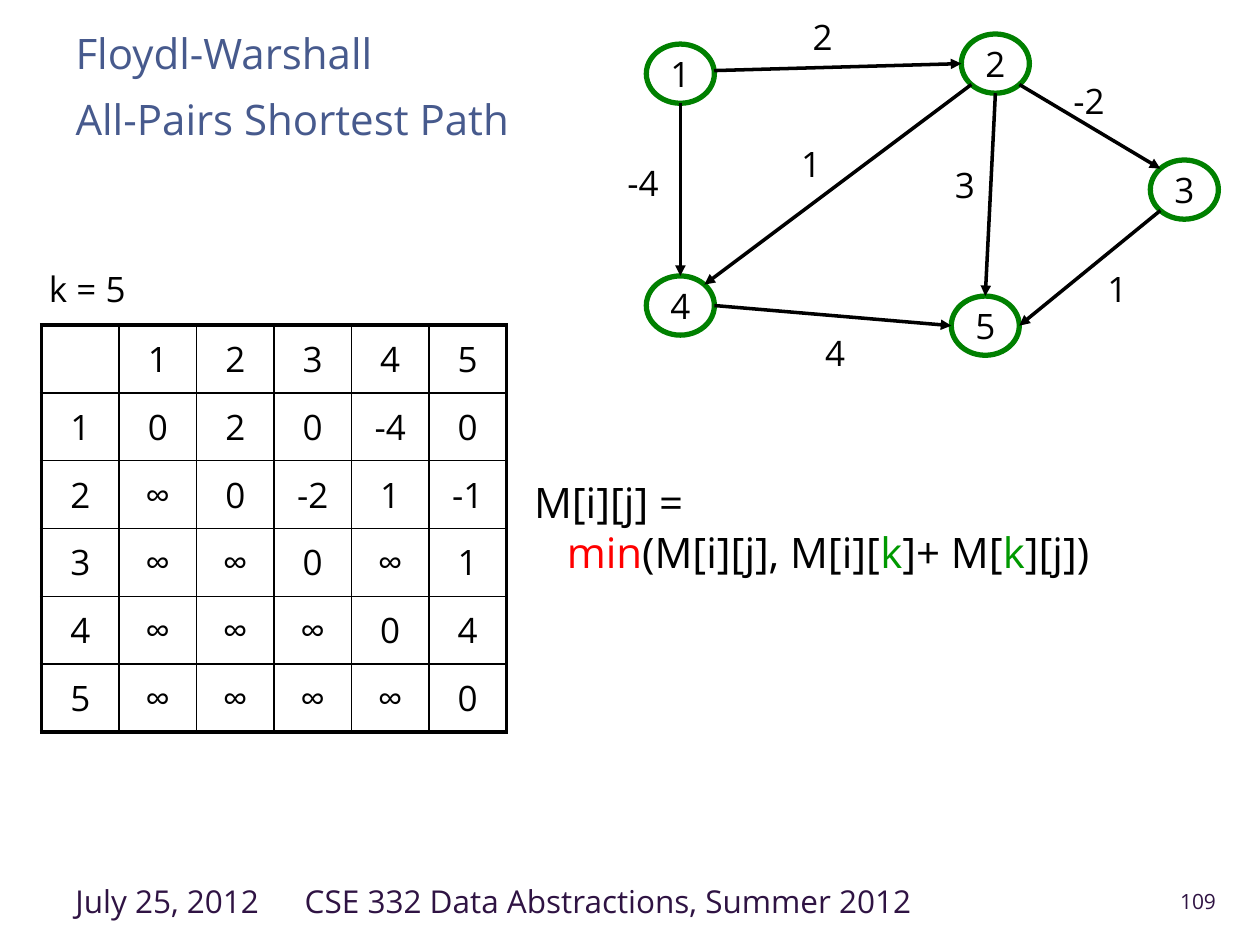
"""Build a slide on the Floyd-Warshall all-pairs shortest path algorithm."""
from math import cos, radians, sin

from lxml import etree
from pptx import Presentation
from pptx.dml.color import RGBColor
from pptx.enum.shapes import MSO_CONNECTOR, MSO_SHAPE
from pptx.enum.text import MSO_ANCHOR, MSO_AUTO_SIZE, PP_ALIGN
from pptx.oxml.ns import qn
from pptx.util import Inches, Pt

BLACK = RGBColor(0x00, 0x00, 0x00)
RED = RGBColor(0xFF, 0x00, 0x00)
KEY_GREEN = RGBColor(0x00, 0x99, 0x00)
NODE_GREEN = RGBColor(0x00, 0x80, 0x00)
TITLE_BLUE = RGBColor(0x47, 0x5A, 0x8D)
FOOTER_PURPLE = RGBColor(0x2F, 0x13, 0x43)

STRAIGHT = MSO_CONNECTOR.STRAIGHT
OVAL = MSO_SHAPE.OVAL
TOP, MIDDLE = MSO_ANCHOR.TOP, MSO_ANCHOR.MIDDLE
LEFT, CENTER, RIGHT = PP_ALIGN.LEFT, PP_ALIGN.CENTER, PP_ALIGN.RIGHT
NO_AUTOFIT = MSO_AUTO_SIZE.NONE

FONT = "Open Sans"
NODE_WIDTH, NODE_HEIGHT = 0.54, 0.47
THICK, THIN = 2.25, 1

NODES = {
    "1": (0.25, 0.28),
    "2": (2.75, 0.2),
    "3": (4.25, 1.2),
    "4": (0.25, 2.12),
    "5": (2.67, 2.28),
}
EDGES = [
    ("1", -6, "2", 180),
    ("2", 45, "3", -135),
    ("3", 135, "5", 0),
    ("1", 90, "4", -90),
    ("4", 0, "5", 180),
    ("2", 90, "5", -90),
    ("2", 135, "4", -45),
]
WEIGHTS = [
    ("-4", 0, 1.16, 0.65),
    ("2", 1.47, 0, 0.38),
    ("-2", 3.54, 0.51, 0.75),
    ("1", 3.81, 2, 0.38),
    ("3", 2.6, 1.18, 0.38),
    ("1", 1.38, 1.01, 0.38),
    ("4", 1.57, 2.51, 0.38),
]
DISTANCES = [
    ["", "1", "2", "3", "4", "5"],
    ["1", "0", "2", "0", "-4", "0"],
    ["2", "∞", "0", "-2", "1", "-1"],
    ["3", "∞", "∞", "0", "∞", "1"],
    ["4", "∞", "∞", "∞", "0", "4"],
    ["5", "∞", "∞", "∞", "∞", "0"],
]
FORMULA = [
    [("M[i][j] =", BLACK)],
    [("min", RED), ("(M[i][j], M[i][", BLACK), ("k", KEY_GREEN),
     ("]+ M[", BLACK), ("k", KEY_GREEN), ("][j])", BLACK)],
]


def add_run(paragraph, text, size, color):
    """Append a formatted run to a paragraph."""
    run = paragraph.add_run()
    run.text = text
    for name, value in {"name": FONT, "size": Pt(size)}.items():
        setattr(run.font, name, value)
    run.font.color.rgb = color


def fill_frame(frame, lines, size, align=LEFT, anchor=TOP):
    """Write lines of (text, colour) runs into a text frame."""
    settings = {"word_wrap": True, "auto_size": NO_AUTOFIT, "vertical_anchor": anchor}
    for name, value in settings.items():
        setattr(frame, name, value)
    for index, line in enumerate(lines):
        paragraph = frame.add_paragraph() if index else frame.paragraphs[0]
        paragraph.alignment = align
        for text, color in line:
            add_run(paragraph, text, size, color)


def add_text(slide, box, lines, size, **layout):
    """Add a text box and return its frame."""
    frame = slide.shapes.add_textbox(*map(Inches, box)).text_frame
    fill_frame(frame, lines, size, **layout)
    return frame


def add_title(slide, box):
    """Place and format the two-line title."""
    title = slide.shapes.title
    title.left, title.top, title.width, title.height = map(Inches, box)
    lines = ["Floydl-Warshall", "All-Pairs Shortest Path"]
    fill_frame(title.text_frame, [[(line, TITLE_BLUE)] for line in lines], 24)
    first, second = title.text_frame.paragraphs
    first.space_before, second.space_before = Pt(0), Pt(8.5)


def set_borders(cell, widths):
    """Give a cell black borders of the given widths in points."""
    properties = cell._tc.get_or_add_tcPr()
    for index, (side, width) in enumerate(widths.items()):
        line = etree.Element(qn(f"a:ln{side}"), w=str(Pt(width)))
        fill = etree.SubElement(line, qn("a:solidFill"))
        etree.SubElement(fill, qn("a:srgbClr"), val=str(BLACK))
        properties.insert(index, line)


def add_distance_table(slide, box):
    """Add the distance matrix with a thick outer frame."""
    count = len(DISTANCES)
    last = count - 1
    table = slide.shapes.add_table(count, count, *map(Inches, box)).table
    table.first_row = table.horz_banding = False
    for row, values in enumerate(DISTANCES):
        for column, value in enumerate(values):
            cell = table.cell(row, column)
            cell.fill.background()
            cell.vertical_anchor = MIDDLE
            paragraph = cell.text_frame.paragraphs[0]
            paragraph.alignment = CENTER
            if value:
                add_run(paragraph, value, 20, BLACK)
            outer = {"L": column == 0, "R": column == last, "T": row == 0, "B": row == last}
            set_borders(cell, {side: THICK if edge else THIN for side, edge in outer.items()})


def add_node(slide, name, left, top):
    """Add one numbered graph node."""
    box = (left, top, NODE_WIDTH, NODE_HEIGHT)
    node = slide.shapes.add_shape(OVAL, *map(Inches, box))
    node.shadow.inherit = False
    node.fill.background()
    node.line.color.rgb = NODE_GREEN
    node.line.width = Pt(3)
    frame = node.text_frame
    fill_frame(frame, [[(name, BLACK)]], 20, align=CENTER, anchor=MIDDLE)
    frame.word_wrap = False
    frame.margin_top = frame.margin_bottom = 0


def rim_point(left, top, name, angle):
    """Return the point on a node's rim at a clockwise angle in degrees."""
    x, y = NODES[name]
    turn = radians(angle)
    return (Inches(left + x + NODE_WIDTH / 2 * (1 + cos(turn))),
            Inches(top + y + NODE_HEIGHT / 2 * (1 + sin(turn))))


def add_arrow(slide, start, end):
    """Add a black arrow between two points."""
    arrow = slide.shapes.add_connector(STRAIGHT, *start, *end)
    arrow.line.color.rgb = BLACK
    arrow.line.width = Pt(2)
    etree.SubElement(arrow.line._get_or_add_ln(), qn("a:tailEnd"), type="triangle")
    etree.SubElement(arrow._element.spPr, qn("a:effectLst"))


def add_graph(slide, left, top):
    """Add the weighted directed graph."""
    for name, (x, y) in NODES.items():
        add_node(slide, name, left + x, top + y)
    for source, start_angle, target, end_angle in EDGES:
        add_arrow(slide, rim_point(left, top, source, start_angle),
                  rim_point(left, top, target, end_angle))
    for weight, x, y, width in WEIGHTS:
        add_text(slide, (left + x, top + y, width, 0.44), [[(weight, BLACK)]], 20)


def add_footer(slide, top):
    """Add the date, course and slide number."""
    for text, left, width, size, layout in [
        ("July 25, 2012", 0.5, 1.75, 18, {}),
        ("CSE 332 Data Abstractions, Summer 2012", 2.32, 5.35, 18, {}),
        ("109", 8.89, 0.86, 12, {"align": RIGHT, "anchor": MIDDLE}),
    ]:
        add_text(slide, (left, top, width, 0.4), [[(text, FOOTER_PURPLE)]], size, **layout)


def main():
    """Build and save the presentation."""
    presentation = Presentation()
    presentation.slide_width, presentation.slide_height = Inches(10), Inches(7.5)
    slide = presentation.slides.add_slide(presentation.slide_layouts[5])
    add_title(slide, (0.5, 0.17, 4.38, 1.11))
    add_distance_table(slide, (0.33, 2.58, 3.69, 3.23))
    add_graph(slide, 4.88, 0.07)
    add_text(slide, (0.29, 2.07, 3.91, 0.44), [[("k = 5", BLACK)]], 20)
    formula = add_text(slide, (4.14, 3.73, 5.64, 0.91), FORMULA, 24)
    formula.paragraphs[1]._p.get_or_add_pPr().set("marL", str(Inches(0.26)))
    add_footer(slide, 6.95)
    presentation.save("out.pptx")


main()
